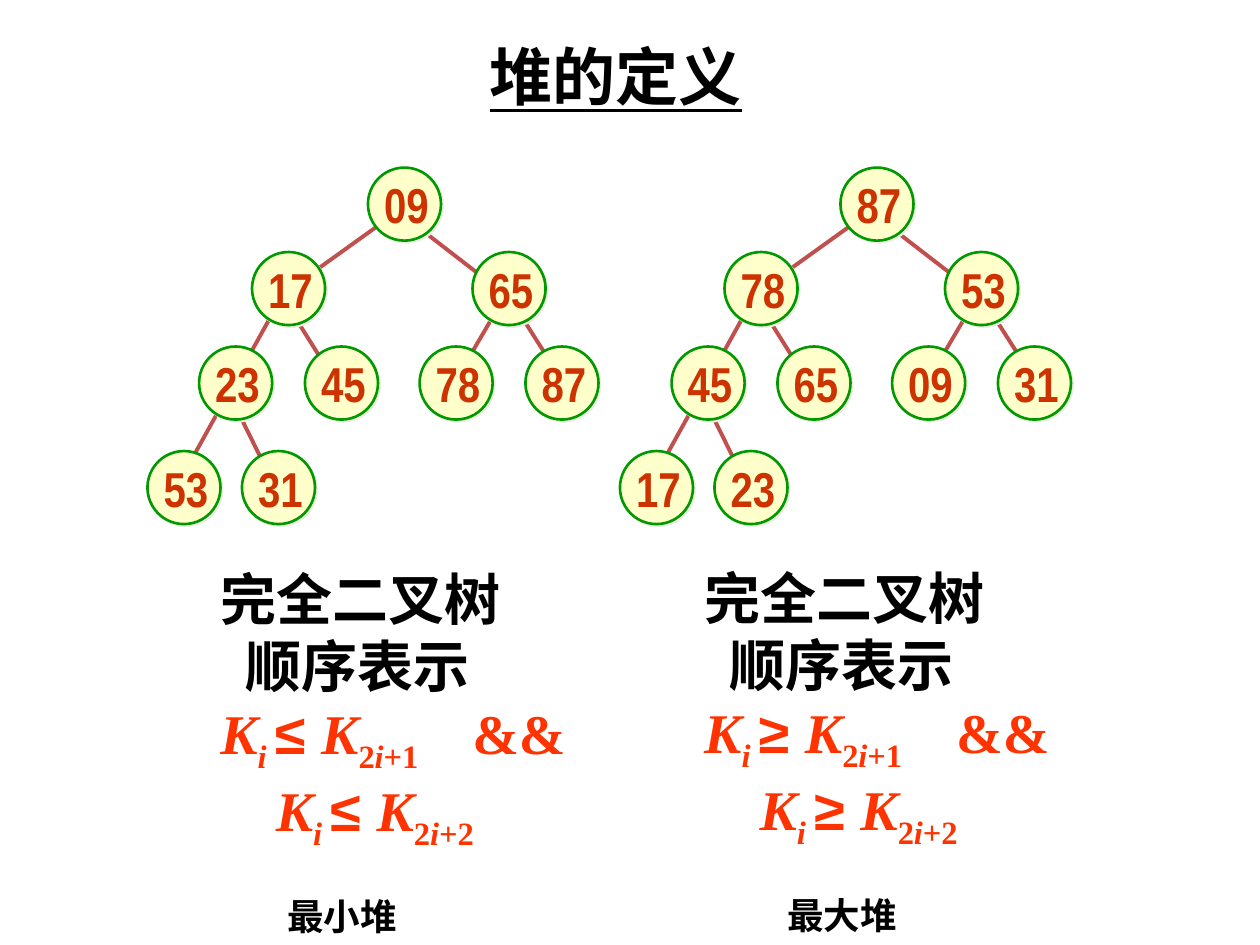
from lxml import etree
from pptx import Presentation
from pptx.dml.color import RGBColor
from pptx.enum import shapes, text
from pptx.oxml import parse_xml
from pptx.oxml.ns import qn
from pptx.util import Inches, Pt

NAMESPACE = "http://schemas.openxmlformats.org/drawingml/2006/main"
NODE_SHADOW = (
    f'<a:effectLst xmlns:a="{NAMESPACE}"><a:outerShdw blurRad="0" dist="17780" dir="2700000" '
    'algn="ctr" rotWithShape="0"><a:srgbClr val="EEECE1"/></a:outerShdw></a:effectLst>'
)


def color(value):
    return RGBColor.from_string(value)


def add_run(paragraph, words, size, font, fill, italic=False, subscript=False):
    run = paragraph.add_run()
    run.text = words
    run.font.size = Pt(size)
    run.font.name = font
    run.font.bold = True
    run.font.italic = italic
    run.font.color.rgb = color(fill)
    if subscript:
        run.font._element.set("baseline", "-25000")
    return run


presentation = Presentation()
presentation.slide_width = Inches(10)
presentation.slide_height = Inches(7.5)
slide = presentation.slides.add_slide(presentation.slide_layouts[6])

title = slide.shapes.add_textbox(Inches(3.79), Inches(0.25), Inches(2.96), Inches(0.7))
title.text_frame.word_wrap = True
title_run = add_run(title.text_frame.paragraphs[0], "堆的定义", 36, "Arial", "000000")
title_run.font.underline = True

definitions = [
    (1.65, 4.43, 3.18, "≤ ", "最小堆", 0.53),
    (5.49, 4.42, 3.10, "≥ ", "最大堆", 0.66),
]
for left, top, width, relation, heap_name, name_indent in definitions:
    box = slide.shapes.add_textbox(Inches(left), Inches(top), Inches(width), Inches(3.07))
    frame = box.text_frame
    frame.word_wrap = True
    paragraphs = [frame.paragraphs[0]] + [frame.add_paragraph() for _ in range(4)]
    for paragraph, indent in zip(paragraphs, [0, 0.2, 0, 0.44, name_indent]):
        properties = paragraph._p.get_or_add_pPr()
        properties.set("marL", str(Inches(indent)))
        properties.set("indent", "0")

    add_run(paragraphs[0], "完全二叉树", 32, "Arial", "000000")
    add_run(paragraphs[1], "顺序表示", 32, "Arial", "000000")
    for paragraph, child in zip(paragraphs[2:4], ["+1", "+2"]):
        for words, font, italic, subscript in [
            ("K", "Times New Roman", True, False),
            ("i ", "Times New Roman", True, True),
            (relation, "Arial", False, False),
            ("K", "Times New Roman", True, False),
            ("2", "Times New Roman", False, True),
            ("i", "Times New Roman", True, True),
            (child, "Times New Roman", False, True),
        ]:
            add_run(paragraph, words, 32, font, "FF3300", italic, subscript)
    tabs = etree.SubElement(paragraphs[2]._p.get_or_add_pPr(), qn("a:tabLst"))
    etree.SubElement(tabs, qn("a:tab"), pos=str(Inches(1.84)), algn="l")
    add_run(paragraphs[2], "\t&&", 32, "Times New Roman", "FF3300")
    add_run(paragraphs[4], heap_name, 36, "Times New Roman", "000000", subscript=True)

node_size = 0.58
node_places = [
    (2.92, 1.33), (2, 2), (3.75, 2),
    (1.58, 2.75), (2.42, 2.75), (3.33, 2.75), (4.17, 2.75),
    (1.17, 3.58), (1.92, 3.58),
]
edges = [
    (3.17, 1.67, 2.25, 2.33), (3.25, 1.75, 4, 2.33),
    (2.25, 2.33, 1.42, 3.83), (2.33, 2.5, 2.75, 3.17),
    (3.92, 2.5, 3.58, 3.08), (4.08, 2.42, 4.5, 3.08),
    (1.92, 3.33, 2.25, 4),
]
trees = [
    (0, ["09", "17", "65", "23", "45", "78", "87", "53", "31"]),
    (3.75, ["87", "78", "53", "45", "65", "09", "31", "17", "23"]),
]
for offset, keys in trees:
    for x1, y1, x2, y2 in edges:
        edge = slide.shapes.add_connector(
            shapes.MSO_CONNECTOR.STRAIGHT,
            Inches(x1 + offset), Inches(y1), Inches(x2 + offset), Inches(y2),
        )
        edge.line.color.rgb = color("C0504D")
        edge.line.width = Pt(2.25)
        etree.SubElement(edge._element.spPr, qn("a:effectLst"))

    for key, (left, top) in zip(keys, node_places):
        node = slide.shapes.add_shape(
            shapes.MSO_SHAPE.OVAL,
            Inches(left + offset), Inches(top), Inches(node_size), Inches(node_size),
        )
        node.fill.solid()
        node.fill.fore_color.rgb = color("FFFFCC")
        node.line.color.rgb = color("009900")
        node.line.width = Pt(1.5)
        node._element.spPr.append(parse_xml(NODE_SHADOW))
        frame = node.text_frame
        frame.word_wrap = False
        frame.vertical_anchor = text.MSO_ANCHOR.MIDDLE
        frame.margin_left = Inches(0.03)
        frame.margin_right = frame.margin_top = frame.margin_bottom = 0
        paragraph = frame.paragraphs[0]
        paragraph.alignment = text.PP_ALIGN.CENTER
        add_run(paragraph, key, 28, "Arial Narrow", "CC3300")

presentation.save("out.pptx")
